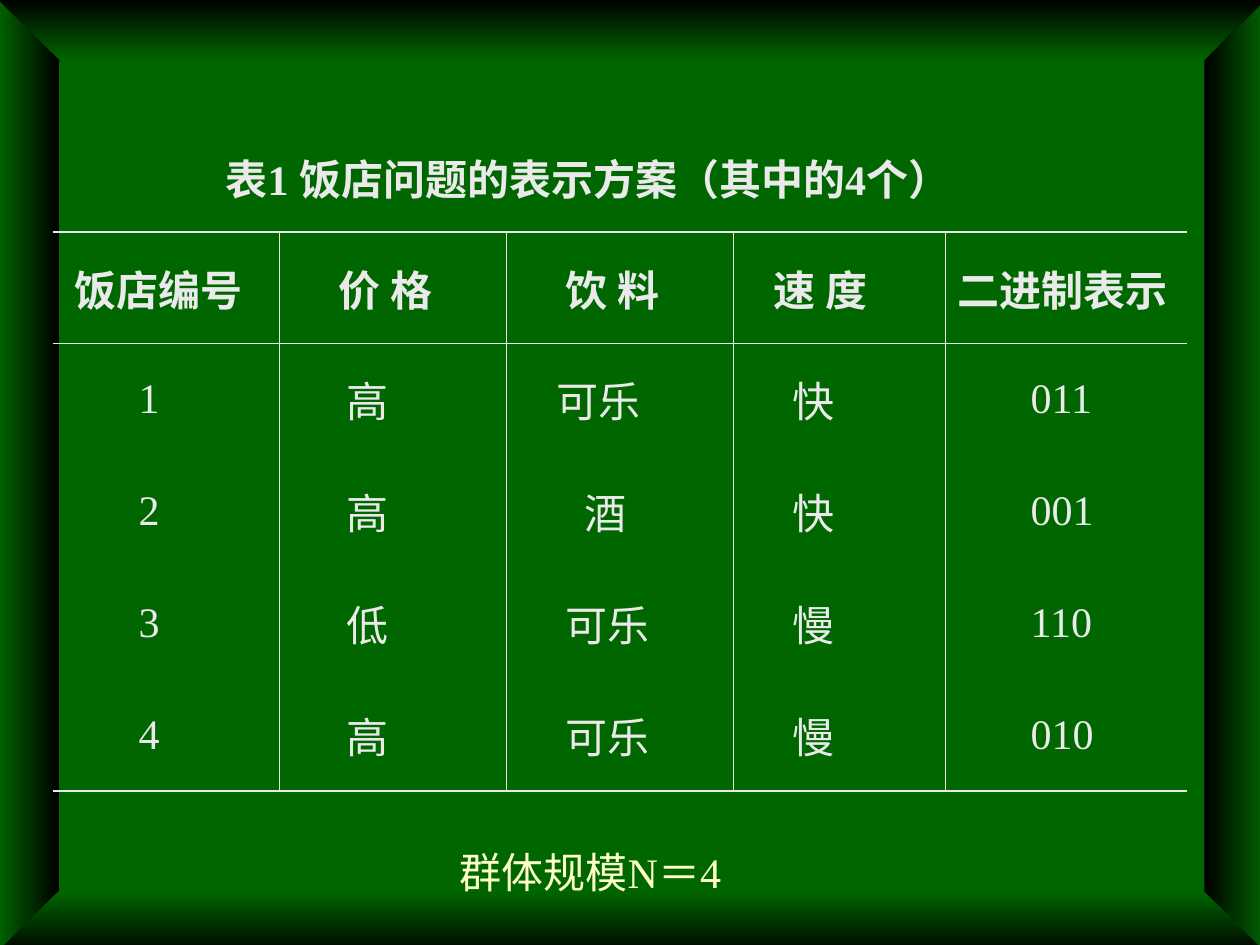
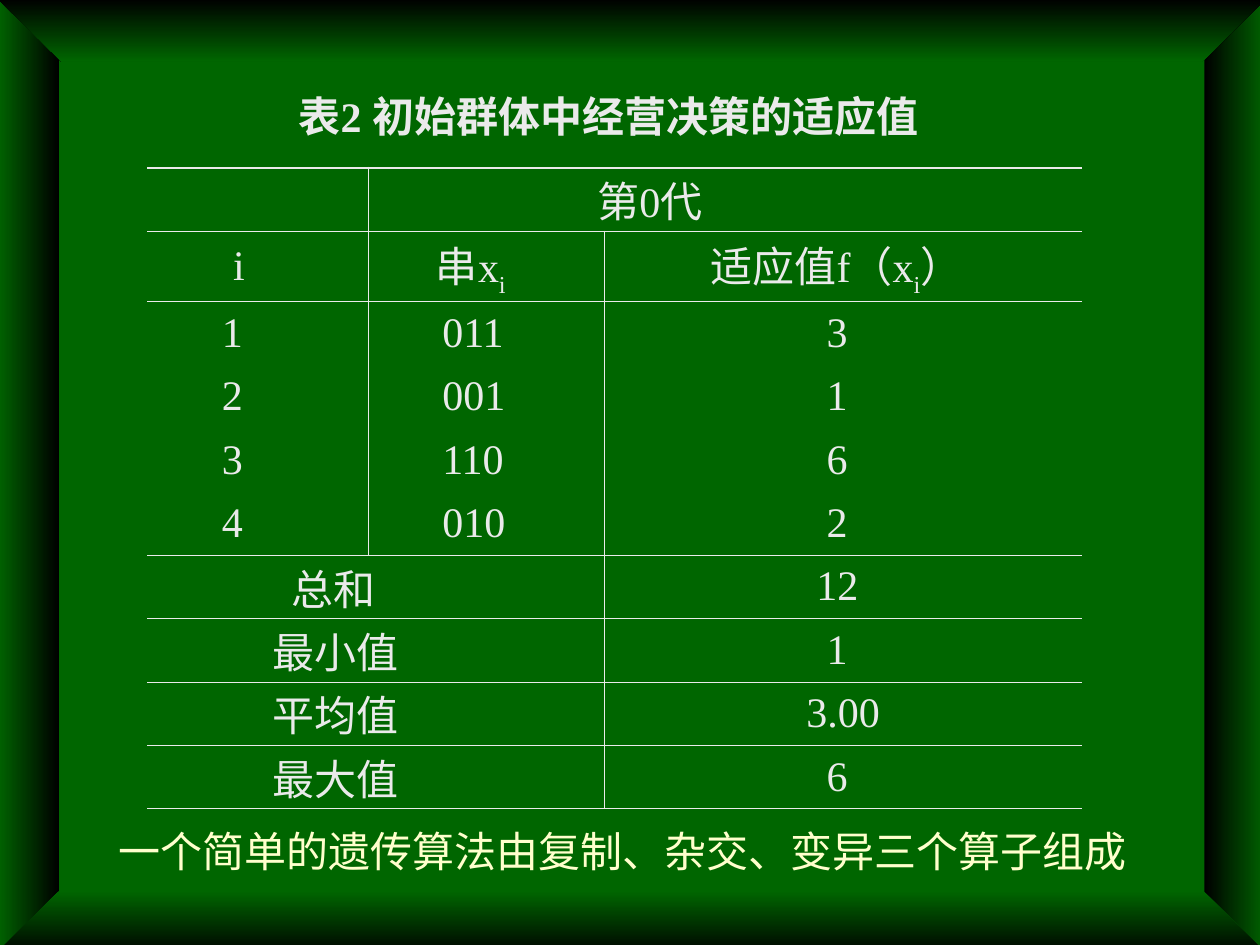
"""Build two slides of framed tables on a genetic algorithm."""
from typing import NamedTuple

from lxml import etree
from pptx import Presentation
from pptx import util as u
from pptx.dml.color import RGBColor
from pptx.enum import shapes, text
from pptx.oxml import ns

GREEN = RGBColor(0x00, 0x66, 0x00)
BLACK = RGBColor(0x00, 0x00, 0x00)
PALE = RGBColor(0xEA, 0xEA, 0xEA)
CREAM = RGBColor(0xFF, 0xFF, 0xCC)
FONT = "Times New Roman"
SIZE = u.Pt(24)
THIN, THICK = 0.45, 1.25
SLACK = 0.3
PLAIN = "{2D5ABB26-0587-4C30-8999-92F81FD0307C}"


class Edge(NamedTuple):
    """A beveled band of the frame."""
    points: tuple
    start: RGBColor
    end: RGBColor
    angle: int


class Cell(NamedTuple):
    """Cell text, with subscripts between underscores, and its indent."""
    words: str = ""
    gap: float = 0
    bold: bool = False


class Line(NamedTuple):
    """A one-line caption and its box."""
    words: str
    left: float
    top: float
    width: float


class Grid(NamedTuple):
    """A table with the rows that have a rule below, by weight."""
    left: float
    top: float
    widths: tuple
    heights: tuple
    rows: list
    rules: dict
    spans: tuple = ()


class Page(NamedTuple):
    """The contents of one slide."""
    title: Line
    grid: Grid
    note: Line


def band(x: float, wide: float) -> tuple:
    return (x, -0.01), (x + wide, -0.01), (x + wide, 7.57), (x, 7.57)


EDGES = (
    Edge(band(9.56, 0.5), BLACK, GREEN, 0),
    Edge(band(-0.03, 0.5), GREEN, BLACK, 0),
    Edge(((-0.02, -0.01), (10.05, -0.01), (9.54, 0.49), (0.49, 0.49)), BLACK, GREEN, 270),
    Edge(((-0.04, 7.58), (10.06, 7.58), (9.55, 7.07), (0.47, 7.07)), GREEN, BLACK, 270),
)

HEADS = [Cell("饭店编号", 0.07, True), Cell("价 格", 0.37, True), Cell("饮 料", 0.37, True),
         Cell("速 度", 0.22, True), Cell("二进制表示", 0, True)]
PLANS = (("高", "可乐", 0.3, "快", "011"), ("高", "酒", 0.52, "快", "001"),
         ("低", "可乐", 0.37, "慢", "110"), ("高", "可乐", 0.37, "慢", "010"))
FITS = (3, 1, 6, 2)
SUMS = (("总和", 1.04, "12", 1.58), ("最小值", 0.89, "1", 1.66),
        ("平均值", 0.89, "3.00", 1.5), ("最大值", 0.89, "6", 1.66))

plans = [HEADS] + [
    [Cell(str(n), 0.58), Cell(cost, 0.43), Cell(drink, gap), Cell(speed, 0.37), Cell(code, 0.58)]
    for n, (cost, drink, gap, speed, code) in enumerate(PLANS, 1)]
scores = [
    [Cell(), Cell("第0代", 1.72), Cell()],
    [Cell("i", 0.58), Cell("串x_i", 0.44), Cell("适应值f（x_i_）", 0.74)],
] + [
    [Cell(str(n), 0.49), Cell(plan[-1], 0.49), Cell(str(fit), 1.66)]
    for n, (plan, fit) in enumerate(zip(PLANS, FITS), 1)
] + [[Cell(name, gap), Cell(), Cell(val, shift)] for name, gap, val, shift in SUMS]

ROW = 4.53 / 9
PAGES = (
    Page(Line("表1 饭店问题的表示方案（其中的4个）", 1.69, 1.17, 6.27),
         Grid(0.42, 1.84, (1.8, 1.8, 1.8, 1.68, 1.92), (4.44 / 5,) * 5, plans,
              {-1: THICK, 0: THIN, 4: THICK}),
         Line("群体规模N＝4", 3.55, 6.67, 2.51)),
    Page(Line("表2 初始群体中经营决策的适应值", 2.27, 0.67, 5.27),
         Grid(1.17, 1.33, (1.75, 1.88, 3.79), (ROW, 0.56) + (ROW,) * 8, scores,
              {-1: THICK, **dict.fromkeys((0, 1, 5, 6, 7, 8, 9), THIN)},
              ((0, 1), (6, 0), (7, 0), (8, 0), (9, 0))),
         Line("一个简单的遗传算法由复制、杂交、变异三个算子组成", 0.84, 6.5, 8.2)),
)


def write(para, words: str, color: RGBColor, bold: bool = False) -> None:
    for n, part in enumerate(words.split("_")):
        if not part:
            continue
        run = para.add_run()
        run.text = part
        font = run.font
        font.size, font.bold, font.name = SIZE, bold, FONT
        font.color.rgb = color
        if n % 2:
            run._r.get_or_add_rPr().set("baseline", "-25000")


def label(box, line: Line, color: RGBColor, bold: bool = False) -> None:
    box.left, box.top = u.Inches(line.left), u.Inches(line.top)
    box.width, box.height = u.Inches(line.width + SLACK), u.Inches(0.5)
    frame = box.text_frame
    frame.word_wrap = True
    frame.auto_size = text.MSO_AUTO_SIZE.NONE
    frame.vertical_anchor = text.MSO_ANCHOR.TOP
    para = frame.paragraphs[0]
    para.alignment = text.PP_ALIGN.LEFT
    write(para, line.words, color, bold)


def bevel(slide, edge: Edge):
    (x, y), *rest = edge.points
    if edge.angle:
        form = slide.shapes.build_freeform(u.Inches(x), u.Inches(y))
        form.add_line_segments([(u.Inches(a), u.Inches(b)) for a, b in rest])
        shape = form.convert_to_shape()
    else:
        far, low = rest[1]
        shape = slide.shapes.add_shape(shapes.MSO_SHAPE.RECTANGLE, u.Inches(x), u.Inches(y),
                                       u.Inches(far - x), u.Inches(low - y))
    shape.shadow.inherit = False
    shape.line.fill.background()
    shape.fill.gradient()
    shape.fill.gradient_angle = edge.angle
    for stop, color in zip(shape.fill.gradient_stops, (edge.start, edge.end)):
        stop.color.rgb = color
    return shape


def border(cell, sides: dict) -> None:
    props = cell._tc.get_or_add_tcPr()
    for side, weight in sides.items():
        line = etree.SubElement(props, ns.qn(f"a:ln{side}"))
        if weight:
            line.set("w", str(u.Pt(weight)))
            fill = etree.SubElement(line, ns.qn("a:solidFill"))
            etree.SubElement(fill, ns.qn("a:srgbClr")).set("val", str(PALE))
        else:
            etree.SubElement(line, ns.qn("a:noFill"))


def draw(slide, grid: Grid) -> None:
    count = len(grid.widths)
    frame = slide.shapes.add_table(len(grid.rows), count, u.Inches(grid.left), u.Inches(grid.top),
                                   u.Inches(sum(grid.widths)), u.Inches(sum(grid.heights)))
    table = frame.table
    table.first_row = table.horz_banding = False
    table._tbl.tblPr.find(ns.qn("a:tableStyleId")).text = PLAIN
    for col, width in zip(table.columns, grid.widths):
        col.width = u.Inches(width)
    for row, height in zip(table.rows, grid.heights):
        row.height = u.Inches(height)
    for r, c in grid.spans:
        table.cell(r, c).merge(table.cell(r, c + 1))
    for r, row in enumerate(grid.rows):
        for c, item in enumerate(row):
            cell = table.cell(r, c)
            end = c + (cell.span_width if cell.is_merge_origin else 1)
            border(cell, {"L": THIN if c and not cell.is_spanned else 0,
                          "R": THIN if end < count else 0,
                          "T": grid.rules.get(r - 1), "B": grid.rules.get(r)})
            cell.fill.background()
            cell.vertical_anchor = text.MSO_ANCHOR.MIDDLE
            cell.margin_top = cell.margin_bottom = 0
            if item.words:
                para = cell.text_frame.paragraphs[0]
                props = para._p.get_or_add_pPr()
                props.set("marL", str(u.Inches(item.gap)))
                props.set("indent", "0")
                write(para, item.words, PALE, item.bold)


def dress(deck, slide) -> None:
    master = deck.slide_master
    master.background.fill.solid()
    master.background.fill.fore_color.rgb = GREEN
    for n, edge in enumerate(EDGES):
        node = bevel(slide, edge)._element
        node.nvSpPr.cNvPr.set("id", str(100 + n))
        master.shapes.element.insert(2 + n, node)


def main() -> None:
    deck = Presentation()
    deck.slide_width, deck.slide_height = u.Inches(10), u.Inches(7.5)
    for n, page in enumerate(PAGES):
        slide = deck.slides.add_slide(deck.slide_layouts[5])
        if n == 0:
            dress(deck, slide)
        label(slide.shapes.title, page.title, PALE, True)
        draw(slide, page.grid)
        label(slide.shapes.add_textbox(0, 0, 0, 0), page.note, CREAM)
    deck.save("out.pptx")


if __name__ == "__main__":
    main()
